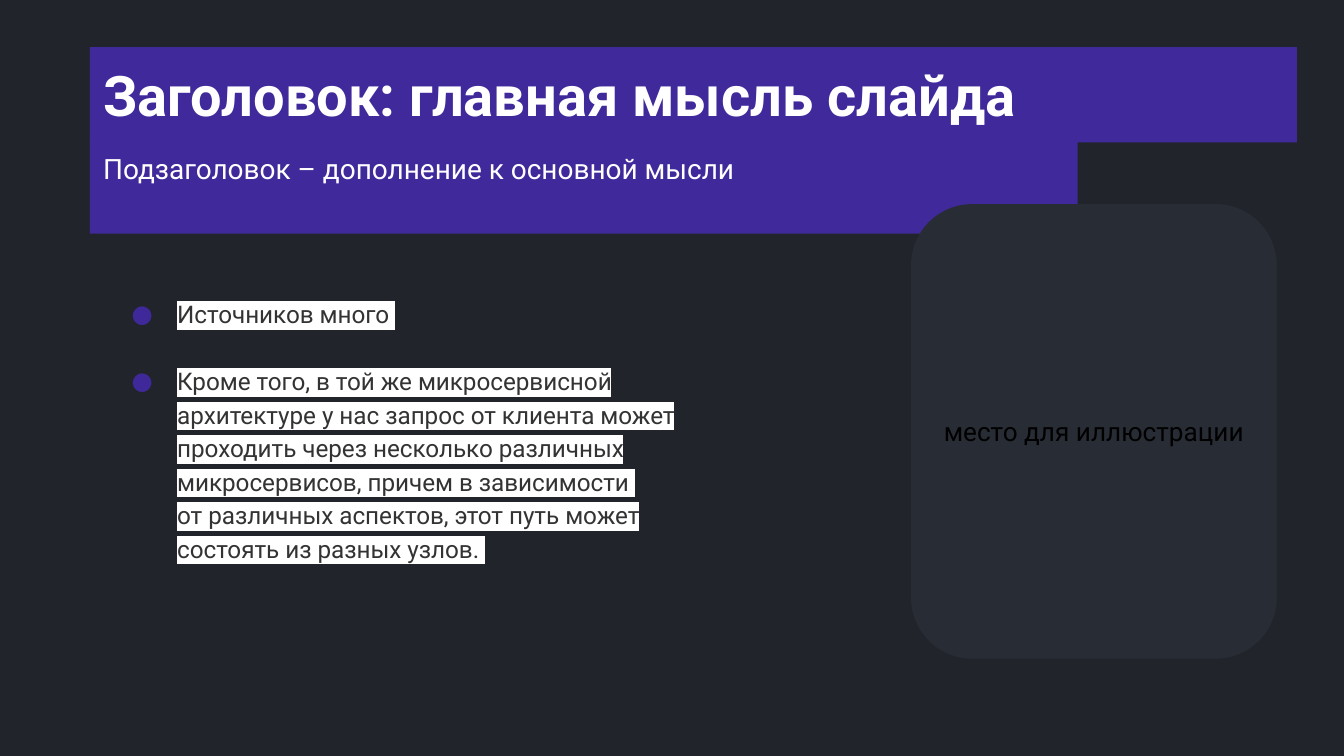
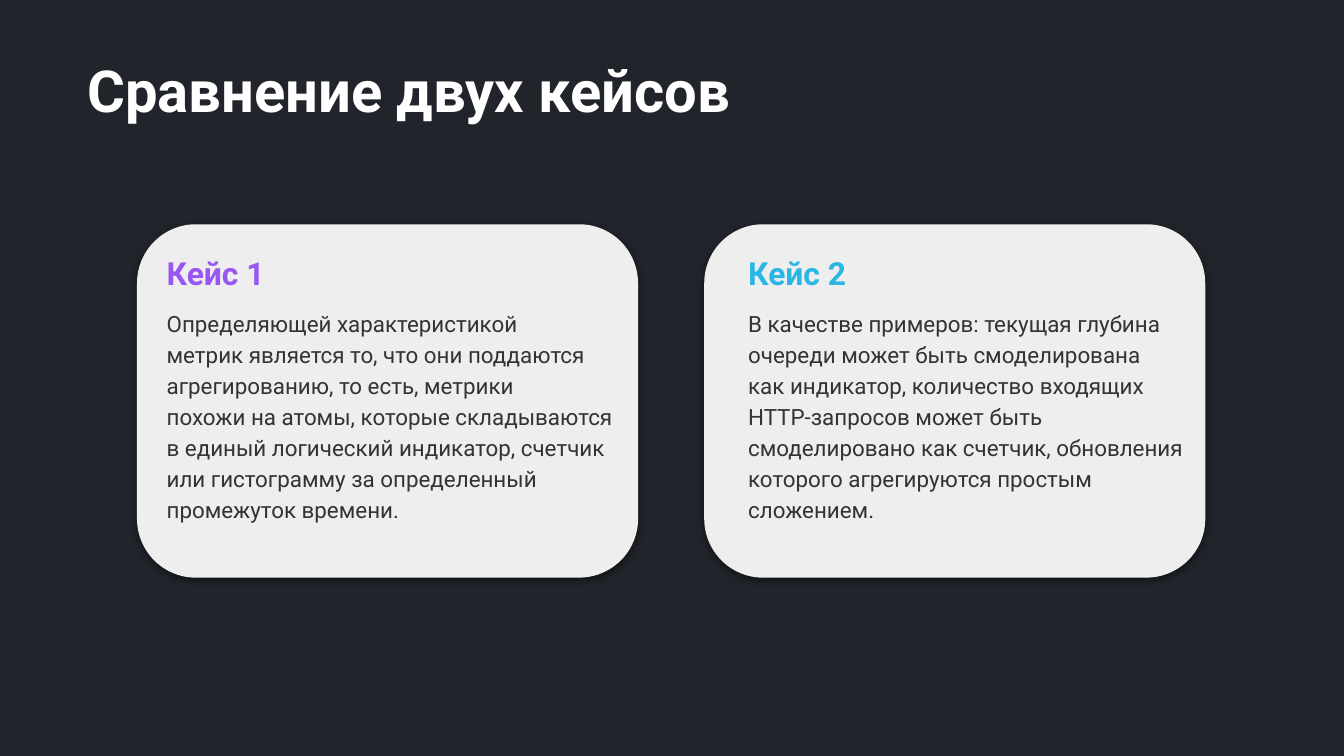
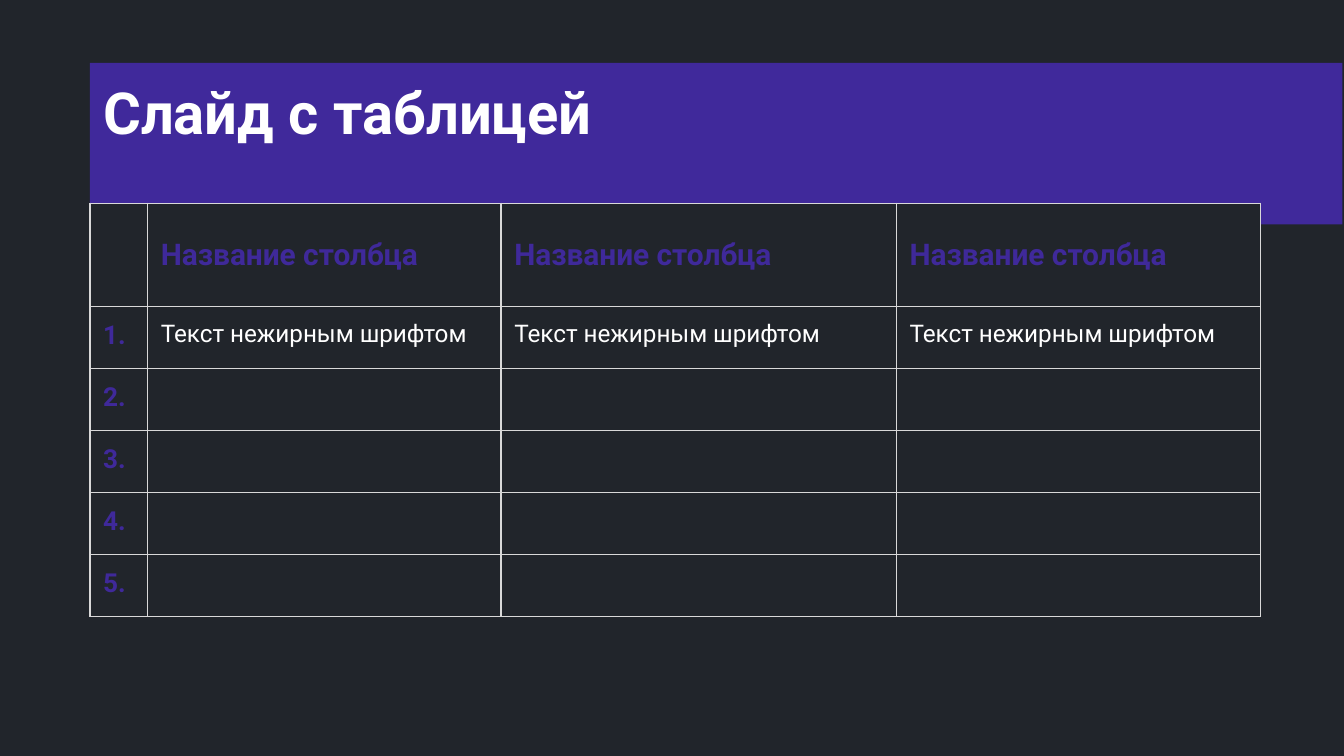
import pptx
import pptx.util
import pptx.dml.color
import pptx.enum.shapes
import pptx.enum.text
import pptx.oxml.ns
from lxml import etree

Cm = pptx.util.Cm
Pt = pptx.util.Pt
RGB = pptx.dml.color.RGBColor
Align = pptx.enum.text.PP_ALIGN
Anchor = pptx.enum.text.MSO_ANCHOR
Preset = pptx.enum.shapes.MSO_SHAPE
qn = pptx.oxml.ns.qn

# Shared look
FONT = "Roboto"
INSET = Cm(0.25)
DARK = RGB(0x21, 0x25, 0x2B)
PANEL = RGB(0x28, 0x2C, 0x34)
BAND = RGB(0x40, 0x29, 0x9B)
VIOLET = RGB(0x3F, 0x29, 0x9A)
LILAC = RGB(0x98, 0x57, 0xF3)
CYAN = RGB(0x2A, 0xB7, 0xE4)
WHITE = RGB(0xFF, 0xFF, 0xFF)
BLACK = RGB(0, 0, 0)
INK = RGB(0x33, 0x33, 0x33)
PALE = RGB(0xEE, 0xEE, 0xEE)
RULE = RGB(0xD9, 0xD9, 0xD9)


def sub(parent, tag, **attrs):
    """Append a drawing element with the given attributes."""
    return etree.SubElement(parent, qn(tag), {k: str(v) for k, v in attrs.items()})


def pad(area):
    """Give a text frame or a table cell the shared inset."""
    area.margin_left = area.margin_right = INSET
    area.margin_top = area.margin_bottom = INSET


def write(frame, text, size=13, color=WHITE, bold=False, align=Align.LEFT,
          lead=None, marker=None, marks=(), gap=0):
    """Fill a frame; each line is a paragraph, marks tells which have a bullet."""
    frame.word_wrap = True
    for i, line in enumerate(text.split("\n")):
        para = frame.paragraphs[0] if i == 0 else frame.add_paragraph()
        para.alignment = align
        if lead:
            para.line_spacing = lead
        if marks:
            props = para._p.get_or_add_pPr()
            props.set("marL", str(Cm(1.27)))
            props.set("indent", str(-Cm(0.86) if marks[i] else 0))
            if marks[i]:
                if i:
                    para.space_before = Pt(gap)
                sub(sub(props, "a:buClr"), "a:srgbClr", val=VIOLET)
                sub(props, "a:buFont", typeface=FONT)
                sub(props, "a:buChar", char="●")
            else:
                sub(props, "a:buNone")
        run = para.add_run()
        run.text = line
        run.font.size = Pt(size)
        run.font.bold = bold
        run.font.color.rgb = color
        run.font.name = FONT
        if marker:
            light = etree.Element(qn("a:highlight"))
            sub(light, "a:srgbClr", val=marker)
            run._r.rPr.find(qn("a:latin")).addprevious(light)


def label(slide, box, text, **form):
    """Place a plain text box."""
    frame = slide.shapes.add_textbox(*map(Cm, box)).text_frame
    pad(frame)
    write(frame, text, **form)


def block(slide, kind, box, fill):
    """Place a filled shape without outline or shadow."""
    shape = slide.shapes.add_shape(kind, *map(Cm, box))
    shape.shadow.inherit = False
    shape.fill.solid()
    shape.fill.fore_color.rgb = fill
    shape.line.fill.background()
    pad(shape.text_frame)
    return shape


def start(deck, box, text, size=31, fill=None):
    """Add a slide and format its title."""
    slide = deck.slides.add_slide(deck.slide_layouts[5])
    title = slide.shapes.title
    title.left, title.top, title.width, title.height = map(Cm, box)
    if fill is not None:
        title.fill.solid()
        title.fill.fore_color.rgb = fill
    frame = title.text_frame
    frame.auto_size = pptx.enum.text.MSO_AUTO_SIZE.NONE
    frame.vertical_anchor = Anchor.TOP
    pad(frame)
    write(frame, text, size=size, bold=True)
    return slide


# Slide 1: main thought, bullets and a place for art
def thesis(deck):
    left, top, high = 1.7, 0.89, 1.8
    slide = start(deck, (left, top, 22.81, high),
                  "Заголовок: главная мысль слайда", size=30, fill=BAND)
    band = block(slide, Preset.RECTANGLE, (left, top + 1.73, 18.67, high), BAND)
    band.text_frame.vertical_anchor = Anchor.TOP
    write(band.text_frame, "Подзаголовок – дополнение к основной мысли", size=15)
    label(slide, (1.83, 5.33, 11.38, 5.54),
          "Источников много \n"
          "Кроме того, в той же микросервисной архитектуре у нас запрос от клиента "
          "может проходить через несколько различных микросервисов, "
          "причем в зависимости \n"
          "от различных аспектов, этот путь может состоять из разных узлов. ",
          color=INK, marker=WHITE, lead=1.15, marks=(True, True, False), gap=18)
    art = block(slide, Preset.ROUNDED_RECTANGLE, (17.22, 3.86, 6.91, 8.59), PANEL)
    art.text_frame.vertical_anchor = Anchor.MIDDLE
    write(art.text_frame, "место для иллюстрации", size=14, color=BLACK,
          align=Align.CENTER)


# Slide 2: two cards side by side
def card(slide, box, inset, wide, head, tint, body):
    left, top = box[:2]
    shape = block(slide, Preset.ROUNDED_RECTANGLE, box, PALE)
    glow = sub(shape._element.spPr.find(qn("a:effectLst")), "a:outerShdw",
               blurRad=Pt(4.5), dist=Pt(1.5), dir=5400000, algn="bl", rotWithShape=0)
    sub(sub(glow, "a:srgbClr", val=BLACK), "a:alpha", val=50000)
    label(slide, (left + inset, top + 1.3, wide, 4.6), body,
          size=12, color=INK, lead=1.15)
    label(slide, (left + inset, top + 0.31, 4.11, 1.24), head,
          size=17, color=tint, bold=True)


def compare(deck):
    slide = start(deck, (1.4, 0.79, 23.67, 3.05), "Сравнение двух кейсов")
    cases = [
        (0.31, 9.47, "Кейс 1", LILAC,
         "Определяющей характеристикой\n"
         "метрик является то, что они поддаются агрегированию, то есть, метрики\n"
         "похожи на атомы, которые складываются\n"
         "в единый логический индикатор, счетчик или гистограмму "
         "за определенный промежуток времени."),
        (0.58, 8.89, "Кейс 2", CYAN,
         "В качестве примеров: текущая глубина очереди может быть смоделирована\n"
         "как индикатор, количество входящих\n"
         "HTTP-запросов может быть смоделировано как счетчик, обновления "
         "которого агрегируются простым сложением."),
    ]
    for i, case in enumerate(cases):
        card(slide, (2.59 + i * 10.72, 4.24, 9.47, 6.68), *case)


# Slide 3: table
def style(cell, fill=None):
    """Draw the four borders of a cell, then set its fill."""
    props = cell._tc.get_or_add_tcPr()
    for side in "LRTB":
        line = sub(props, "a:ln" + side, w=Pt(0.75))
        sub(sub(line, "a:solidFill"), "a:srgbClr", val=RULE)
    if fill is None:
        cell.fill.background()
    else:
        cell.fill.solid()
        cell.fill.fore_color.rgb = fill


def grid(slide, left, top):
    wides = [1.09, 6.68, 7.47, 6.88]
    highs = [1.96] + [1.17] * 5
    table = slide.shapes.add_table(len(highs), len(wides), Cm(left), Cm(top),
                                   Cm(sum(wides)), Cm(sum(highs))).table
    table.first_row = table.horz_banding = False
    for col, wide in zip(table.columns, wides):
        col.width = Cm(wide)
    for row, high in zip(table.rows, highs):
        row.height = Cm(high)
    for r in range(len(highs)):
        for c in range(len(wides)):
            cell = table.cell(r, c)
            style(cell, DARK if r == 0 else None)
            if r == 0 and c:
                text, form = "Название столбца", dict(size=16, color=VIOLET, bold=True)
                cell.vertical_anchor = Anchor.MIDDLE
            elif r and c == 0:
                text, form = f"{r}.", dict(size=14, color=VIOLET, bold=True)
            elif r == 1:
                text, form = "Текст нежирным шрифтом", dict(size=13)
            else:
                continue
            pad(cell)
            write(cell.text_frame, text, **form)


def matrix(deck):
    slide = start(deck, (1.7, 1.19, 23.67, 3.05), "Слайд с таблицей", fill=BAND)
    grid(slide, 1.7, 3.84)


def main():
    deck = pptx.Presentation()
    deck.slide_width, deck.slide_height = Cm(25.4), Cm(14.29)
    back = deck.slide_master.background.fill
    back.solid()
    back.fore_color.rgb = DARK
    thesis(deck)
    compare(deck)
    matrix(deck)
    deck.save("out.pptx")


if __name__ == "__main__":
    main()
